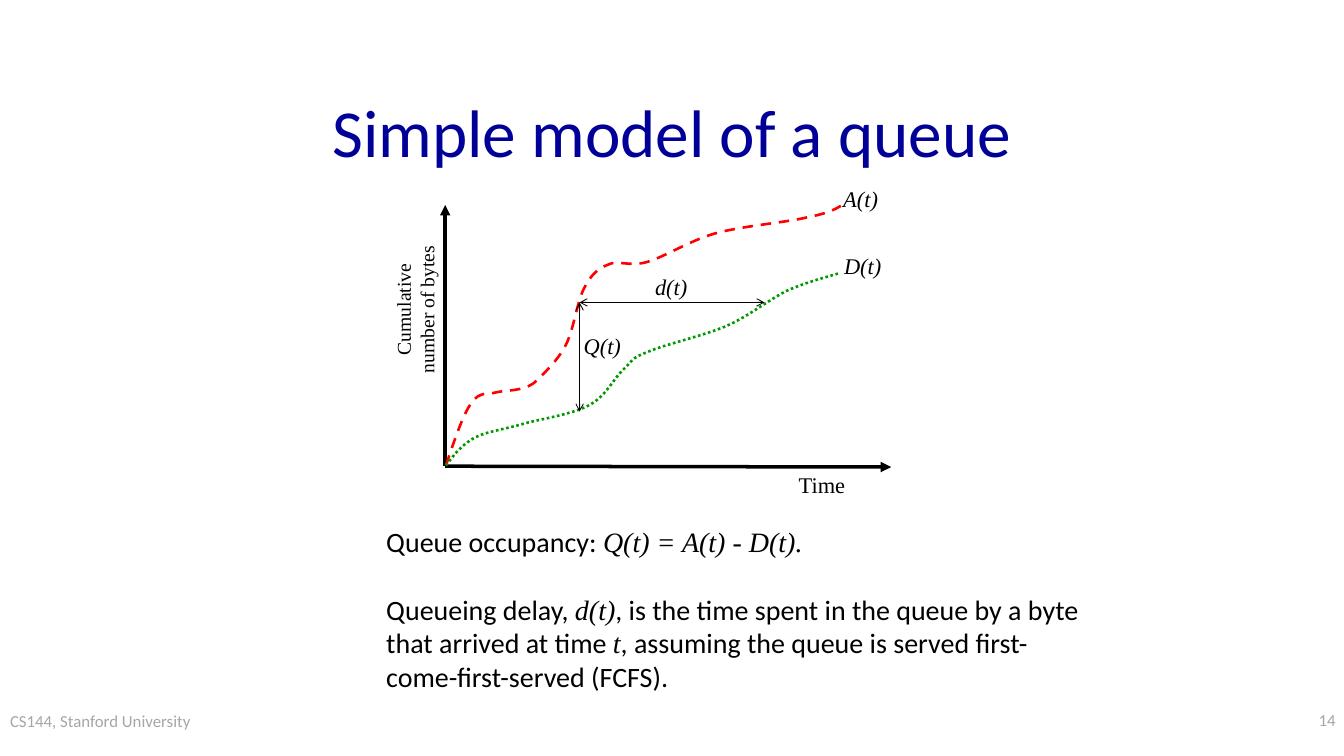
from pptx import Presentation
from pptx.dml.color import RGBColor as RGB
from pptx.enum.dml import MSO_LINE as Dash
from pptx.enum.text import MSO_ANCHOR as Anchor, PP_ALIGN as Align
from pptx.oxml.ns import qn
from pptx.util import Inches, Pt
from lxml.etree import SubElement as Sub

HUES = {"ink": "000000", "title": "000099", "foot": "A6A6A6",
        "arrive": "FF0000", "depart": "009900"}
SANS = {"name": "Calibri", "italic": False}
ROMAN = {"name": "Times New Roman", "italic": False}
MATH = {"name": "Times New Roman", "italic": True}

# Each curve: a start point, then three points per Bézier segment.
ARRIVE = [
    (5.31, 5.54),
    (5.41, 5.24), (5.51, 4.94), (5.61, 4.8),
    (5.71, 4.65), (5.82, 4.7), (5.91, 4.67),
    (6.01, 4.65), (6.11, 4.65), (6.19, 4.63),
    (6.27, 4.6), (6.31, 4.61), (6.4, 4.52),
    (6.49, 4.43), (6.65, 4.28), (6.74, 4.1),
    (6.83, 3.92), (6.87, 3.6), (6.95, 3.44),
    (7.03, 3.28), (7.11, 3.2), (7.24, 3.15),
    (7.36, 3.09), (7.49, 3.18), (7.7, 3.12),
    (7.91, 3.06), (8.2, 2.87), (8.51, 2.78),
    (8.83, 2.69), (9.35, 2.65), (9.6, 2.59),
    (9.85, 2.54), (9.93, 2.5), (10.01, 2.45),
]
DEPART = [
    (5.31, 5.54),
    (5.4, 5.42), (5.49, 5.3), (5.65, 5.21),
    (5.81, 5.13), (6.02, 5.11), (6.25, 5.04),
    (6.48, 4.98), (6.82, 4.93), (7.02, 4.82),
    (7.21, 4.72), (7.31, 4.5), (7.42, 4.4),
    (7.54, 4.29), (7.5, 4.27), (7.71, 4.19),
    (7.91, 4.1), (8.37, 4), (8.65, 3.88),
    (8.92, 3.76), (9.15, 3.57), (9.37, 3.46),
    (9.6, 3.36), (9.8, 3.31), (10, 3.25),
]


class Board:
    def __init__(self, slide):
        self.shapes = slide.shapes

    def text(self, box, paras, size, hue="ink", align=Align.LEFT, gap=0,
             turn=0, **frame):
        """Add a box; each paragraph is a list of (words, font) runs."""
        shape = self.shapes.add_textbox(*map(Inches, box))
        shape.rotation = turn
        body = shape.text_frame
        for key, val in {"word_wrap": True, **frame}.items():
            setattr(body, key, val)
        for num, runs in enumerate(paras):
            para = body.add_paragraph() if num else body.paragraphs[0]
            para.alignment = align
            if num and gap:
                para.space_before = Pt(gap)
            for words, font in runs:
                run = para.add_run()
                run.text = words
                for key, val in {**font, "size": Pt(size)}.items():
                    setattr(run.font, key, val)
                run.font.color.rgb = RGB.from_string(HUES[hue])

    def stroke(self, shape, hue, width):
        shape.line.color.rgb = RGB.from_string(HUES[hue])
        shape.line.width = Pt(width)

    def arrow(self, start, end, width, **tips):
        line = self.shapes.add_connector(1, *map(Inches, start + end))
        self.stroke(line, "ink", width)
        ln = line.element.xpath(".//a:ln")[0]
        for tag, kind in tips.items():
            Sub(ln, qn("a:" + tag), type=kind)
        Sub(line.element.spPr, qn("a:effectLst"))

    def curve(self, points, hue, dash):
        spots = [(Inches(x), Inches(y)) for x, y in points]
        build = self.shapes.build_freeform(*spots[0])
        build.add_line_segments(spots[1:], close=False)
        shape = build.convert_to_shape()
        shape.shadow.inherit = False
        shape.fill.background()
        self.stroke(shape, hue, 2.25)
        shape.line.dash_style = dash
        # Turn every three straight steps into one Bézier segment.
        trace = shape.element.xpath(".//a:path")[0]
        steps = trace.findall(qn("a:lnTo"))
        for num in range(0, len(steps), 3):
            bend = Sub(trace, qn("a:cubicBezTo"))
            for step in steps[num:num + 3]:
                bend.append(step[0])
                trace.remove(step)


def main():
    deck = Presentation()
    deck.slide_width, deck.slide_height = Inches(16), Inches(9)
    board = Board(deck.slides.add_slide(deck.slide_layouts[6]))

    board.text((0, 8.4, 3.87, 0.6), [[("CS144, Stanford University", SANS)]],
               14.4, "foot", margin_left=Inches(0.12), margin_top=Inches(0.06))
    board.text((12.67, 8.4, 3.33, 0.6), [[("14", SANS)]], 14.4, "foot",
               Align.RIGHT)
    board.text((1.2, 0.8, 13.6, 1.5), [[("Simple model of a queue", SANS)]],
               57.6, "title", Align.CENTER, vertical_anchor=Anchor.MIDDLE)

    for end in ((10.61, 5.56), (5.3, 2.44)):
        board.arrow((5.3, 5.55), end, 3, tailEnd="triangle")
    board.curve(ARRIVE, "arrive", Dash.DASH)
    board.curve(DEPART, "depart", Dash.ROUND_DOT)
    for end in ((6.9, 4.9), (9.1, 3.6)):
        board.arrow((6.9, 3.6), end, 0.75, headEnd="arrow", tailEnd="arrow")

    for words, left, top, font in (
            ("D(t)", 9.95, 2.95, MATH), ("A(t)", 9.94, 2.15, MATH),
            ("Q(t)", 6.85, 3.9, MATH), ("d(t)", 7.7, 3.2, MATH),
            ("Time", 9.41, 5.56, ROMAN)):
        board.text((left, top, 0.85, 0.42), [[(words, font)]], 19.2)
    board.text((4.08, 3.35, 1.73, 0.67),
               [[("Cumulative", ROMAN)], [("number of bytes", ROMAN)]],
               16.8, align=Align.CENTER, turn=270, word_wrap=False)

    board.text((4.5, 6.2, 8.5, 2.12), [
        [("Queue occupancy: ", SANS), ("Q(t) = A(t) - D(t).", MATH)],
        [("Queueing delay, ", SANS), ("d(t)", MATH),
         (", is the time spent in the queue by a byte that arrived at time ",
          SANS), ("t", MATH),
         (", assuming the queue is served first-come-first-served (FCFS).",
          SANS)],
    ], 24, gap=29)
    deck.save("out.pptx")


if __name__ == "__main__":
    main()
